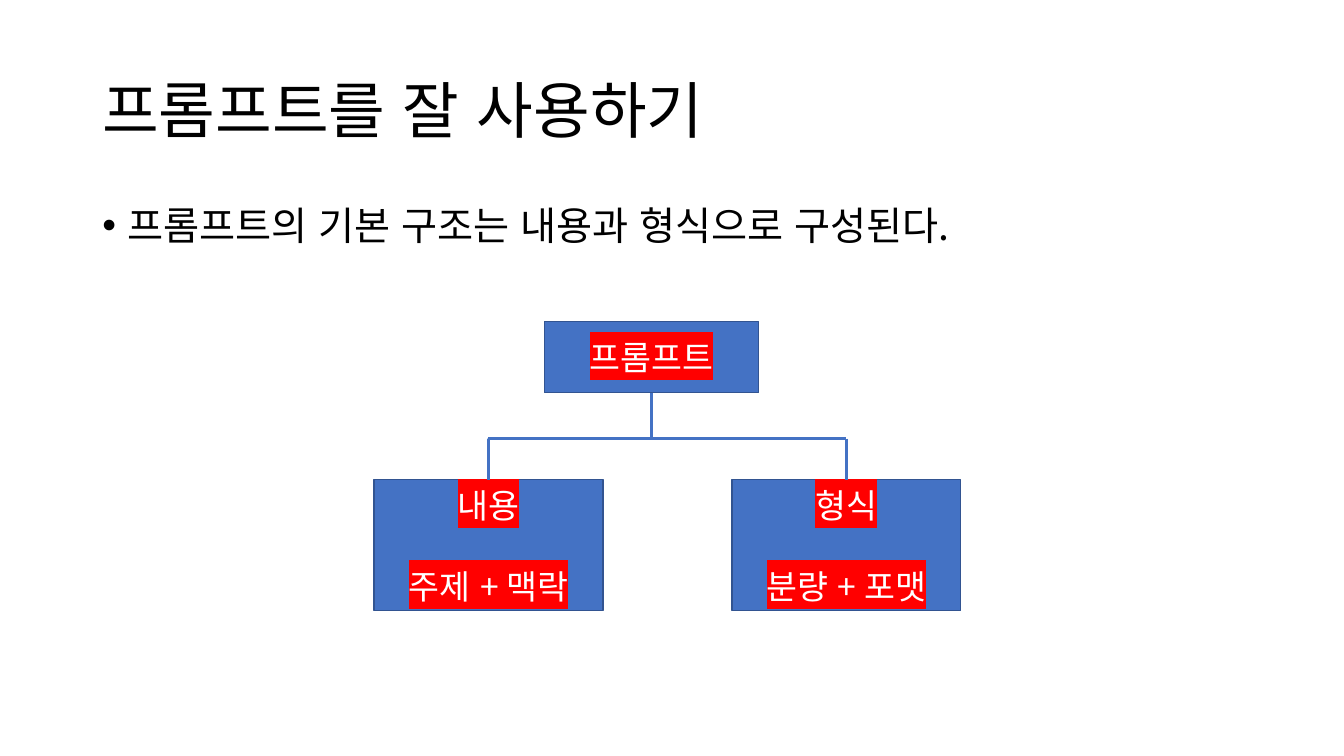
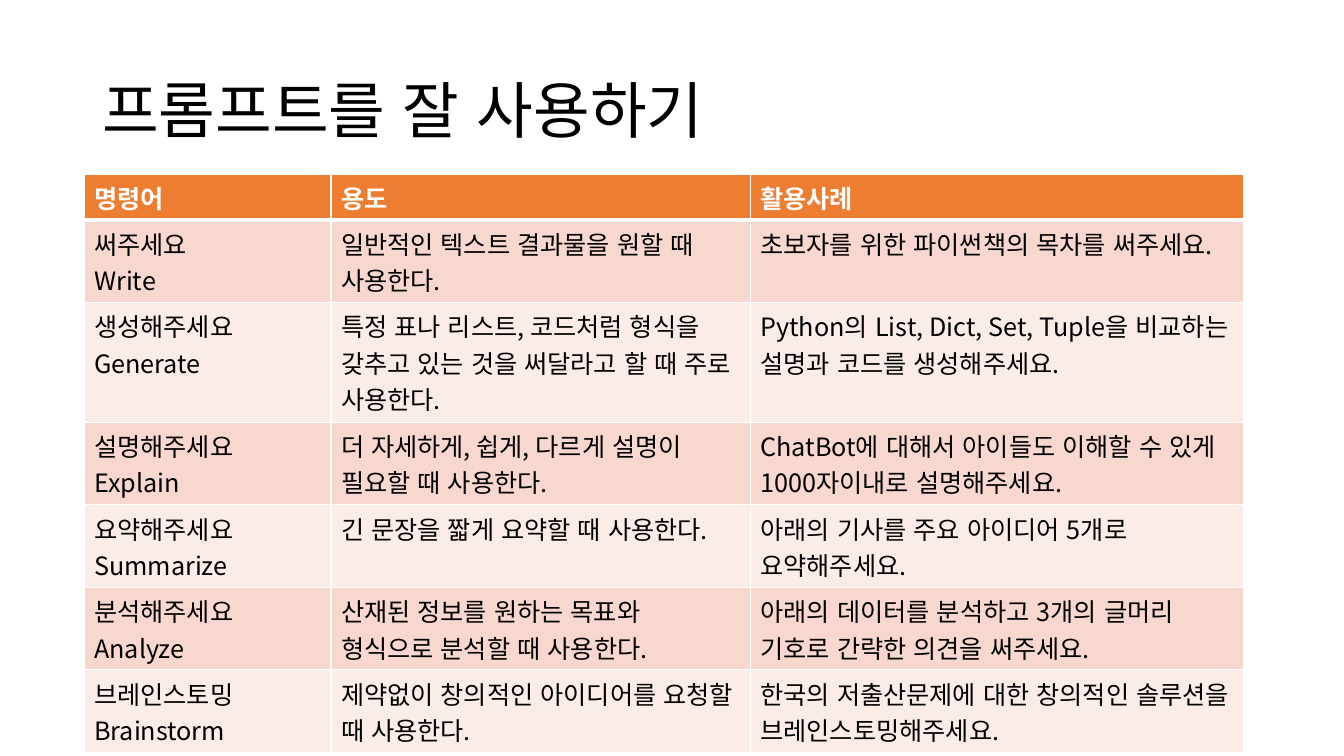
from lxml import etree
from pptx import Presentation
from pptx.dml.color import RGBColor
from pptx.enum.lang import MSO_LANGUAGE_ID
from pptx.enum.shapes import MSO_CONNECTOR, MSO_SHAPE
from pptx.enum.text import MSO_ANCHOR, PP_ALIGN
from pptx.oxml.ns import qn
from pptx.util import Cm, Pt

RECT = MSO_SHAPE.RECTANGLE
STRAIGHT = MSO_CONNECTOR.STRAIGHT
TOP, MIDDLE = MSO_ANCHOR.TOP, MSO_ANCHOR.MIDDLE
LEFT, CENTER = PP_ALIGN.LEFT, PP_ALIGN.CENTER
KOREAN = MSO_LANGUAGE_ID.KOREAN

FONT = "Noto Sans CJK KR"
BLACK = RGBColor(0x00, 0x00, 0x00)
WHITE = RGBColor(0xFF, 0xFF, 0xFF)
RED = RGBColor(0xFF, 0x00, 0x00)
BLUE = RGBColor(0x44, 0x72, 0xC4)
NAVY = RGBColor(0x32, 0x54, 0x91)
ORANGE = RGBColor(0xED, 0x7D, 0x31)
BANDS = (RGBColor(0xF8, 0xD7, 0xCE), RGBColor(0xFC, 0xEC, 0xE8))

TITLE = "프롬프트를 잘 사용하기"
COMMANDS = [
    ("명령어", "용도", "활용사례"),
    ("써주세요\nWrite", "일반적인 텍스트 결과물을 원할 때 사용한다.",
     "초보자를 위한 파이썬책의 목차를 써주세요."),
    ("생성해주세요\nGenerate",
     "특정 표나 리스트, 코드처럼 형식을 갖추고 있는 것을 써달라고 할 때 주로 사용한다.",
     "Python의 List, Dict, Set, Tuple을 비교하는 설명과 코드를 생성해주세요."),
    ("설명해주세요\nExplain", "더 자세하게, 쉽게, 다르게 설명이 필요할 때 사용한다.",
     "ChatBot에 대해서 아이들도 이해할 수 있게 1000자이내로 설명해주세요."),
    ("요약해주세요\nSummarize", "긴 문장을 짧게 요약할 때 사용한다.",
     "아래의 기사를 주요 아이디어 5개로 요약해주세요."),
    ("분석해주세요\nAnalyze", "산재된 정보를 원하는 목표와\n형식으로 분석할 때 사용한다.",
     "아래의 데이터를 분석하고 3개의 글머리 기호로 간략한 의견을 써주세요."),
    ("브레인스토밍\nBrainstorm", "제약없이 창의적인 아이디어를 요청할 때 사용한다.",
     "한국의 저출산문제에 대한 창의적인 솔루션을 브레인스토밍해주세요."),
]
ROW_LINES = (1, 2, 3, 2, 2, 2, 2)


def add_color(parent, tag, color):
    node = etree.SubElement(parent, qn(tag))
    etree.SubElement(node, qn("a:srgbClr"), val=str(color))


def write(tf, text, size=18, color=BLACK, bold=False, align=LEFT, spacing=1.0,
          gap=0, bullet=None, highlight=None):
    for i, line in enumerate(text.split("\n")):
        p = tf.paragraphs[0] if i == 0 else tf.add_paragraph()
        p.alignment = align
        p.line_spacing = spacing
        if i and gap:
            p.space_before = Pt(gap)
        if bullet:
            pPr = p._p.get_or_add_pPr()
            pPr.set("marL", str(Cm(0.64)))
            pPr.set("indent", str(Cm(-0.64)))
            etree.SubElement(pPr, qn("a:buFont"), typeface="Arial")
            etree.SubElement(pPr, qn("a:buChar"), char=bullet)
        r = p.add_run()
        r.text = line
        r.font.language_id = KOREAN
        r.font.size = Pt(size)
        r.font.bold = bold
        r.font.color.rgb = color
        rPr = r._r.get_or_add_rPr()
        if highlight:
            add_color(rPr, "a:highlight", highlight)
        r.font.name = FONT
        etree.SubElement(rPr, qn("a:ea"), typeface=FONT)


class Deck:
    def __init__(self):
        self.prs = Presentation()
        self.prs.slide_width, self.prs.slide_height = Cm(33.87), Cm(19.05)
        self.s = None

    def slide(self, title):
        self.s = self.prs.slides.add_slide(self.prs.slide_layouts[6])
        self.text(title, 1.01, 3.68, anchor=MIDDLE, size=44, spacing=0.9)

    def text(self, text, y, h, anchor=TOP, **fmt):
        sp = self.s.shapes.add_textbox(Cm(2.33), Cm(y), Cm(29.21), Cm(h))
        tf = sp.text_frame
        tf.word_wrap = True
        tf.vertical_anchor = anchor
        write(tf, text, **fmt)

    def box(self, text, cx, y, w, h):
        sp = self.s.shapes.add_shape(RECT, Cm(cx - w / 2), Cm(y), Cm(w), Cm(h))
        sp.shadow.inherit = False
        sp.fill.solid()
        sp.fill.fore_color.rgb = BLUE
        sp.line.color.rgb = NAVY
        sp.line.width = Pt(1)
        sp.text_frame.vertical_anchor = MIDDLE
        write(sp.text_frame, text, size=24, color=WHITE, align=CENTER, gap=29,
              highlight=RED)
        return sp

    def line(self, x1, y1, x2, y2, start=None, end=None):
        c = self.s.shapes.add_connector(STRAIGHT, Cm(x1), Cm(y1), Cm(x2), Cm(y2))
        c.line.color.rgb = BLUE
        c.line.width = Pt(2)
        etree.SubElement(c._element.spPr, qn("a:effectLst"))
        if start:
            c.begin_connect(start, 2)
        if end:
            c.end_connect(end, 0)

    def tree(self, root, leaves, cx, y, bus_y, leaf_y, xs):
        top = self.box(root, cx, y, 5.4, 1.8)
        self.line(xs[0], bus_y, xs[-1], bus_y)
        self.line(cx, y + 1.8, cx, bus_y, start=top)
        for leaf, x in zip(leaves, xs):
            sp = self.box(leaf, x, leaf_y, 5.77, 3.3)
            self.line(x, bus_y, x, leaf_y, end=sp)

    def cell_borders(self, cell, top, bottom):
        tcPr = cell._tc.get_or_add_tcPr()
        for i, (tag, width) in enumerate(
                (("a:lnL", 1), ("a:lnR", 1), ("a:lnT", top), ("a:lnB", bottom))):
            ln = etree.Element(qn(tag), w=str(Pt(width)))
            add_color(ln, "a:solidFill", WHITE)
            tcPr.insert(i, ln)

    def table(self, rows, x, y, widths, line_counts):
        heights = [0.94 * n + 0.2 for n in line_counts]
        t = self.s.shapes.add_table(len(rows), len(widths), Cm(x), Cm(y),
                                    Cm(sum(widths)), Cm(sum(heights))).table
        t.horz_banding = False
        for col, w in zip(t.columns, widths):
            col.width = Cm(w)
        for i, (row, h) in enumerate(zip(rows, heights)):
            head = i == 0
            t.rows[i].height = Cm(h)
            for j, text in enumerate(row):
                cell = t.cell(i, j)
                cell.fill.solid()
                cell.fill.fore_color.rgb = ORANGE if head else BANDS[(i - 1) % 2]
                write(cell.text_frame, text, bold=head,
                      color=WHITE if head else BLACK)
                self.cell_borders(cell, 3 if i == 1 else 1, 3 if head else 1)


def main():
    d = Deck()
    d.slide(TITLE)
    d.text("프롬프트의 기본 구조는 내용과 형식으로 구성된다.", 5.08, 12.09,
           size=28, spacing=0.9, bullet="•")
    d.tree("프롬프트", ["내용\n주제 + 맥락", "형식\n분량 + 포맷"],
           cx=16.42, y=8.1, bus_y=11.05, leaf_y=12.09, xs=(12.31, 21.33))

    d.slide(TITLE)
    d.table(COMMANDS, 2.12, 4.4, (6.22, 10.57, 12.42), ROW_LINES)
    d.prs.save("out.pptx")


if __name__ == "__main__":
    main()
